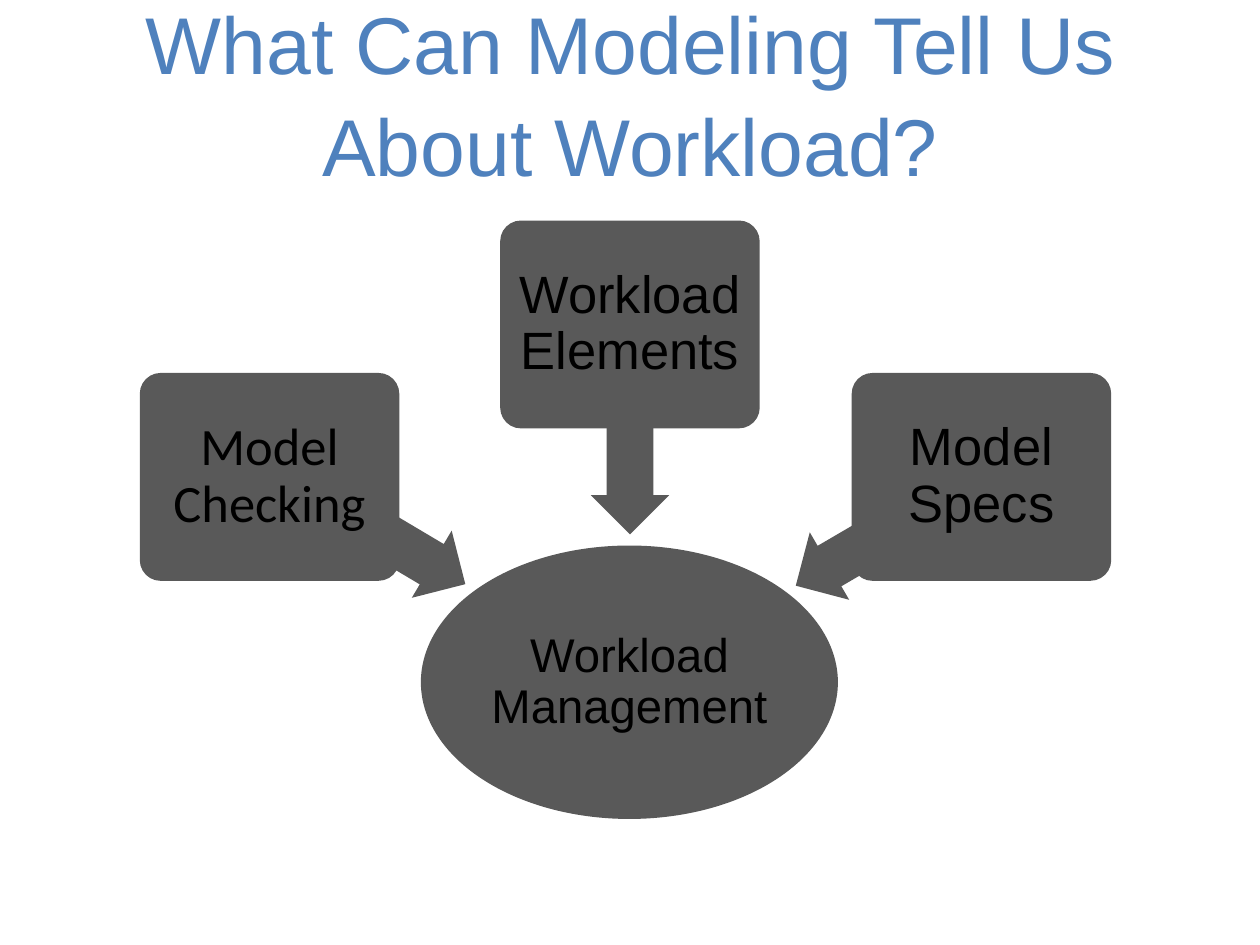
from pptx import Presentation
from pptx.dml.color import RGBColor
from pptx.enum.shapes import MSO_SHAPE
from pptx.enum.text import MSO_ANCHOR, PP_ALIGN
from pptx.util import Inches, Pt

TITLE = "What Can Modeling Tell Us About Workload?"
HUB = "Workload Management"
NODES = [
    ("Model Checking", "Calibri", 1.11, 2.96, (2.14, 3.9, 1.67), 210.7),
    ("Workload Elements", "Arial", 3.97, 1.75, (4.17, 3.1, 1.66), 270),
    ("Model Specs", "Arial", 6.76, 2.96, (6.2, 3.91, 1.7), 329.7),
]
BOX = (2.06, 1.65)
THICK = 0.62
GRAY, BLACK, BLUE = "595959", "000000", "4F81BD"


def color(code):
    return RGBColor.from_string(code)


def write(shape, text, face, size, tint, inset, anchor, space, after=0):
    frame = shape.text_frame
    frame.word_wrap = True
    frame.vertical_anchor = anchor
    frame.margin_left = frame.margin_right = Inches(inset[0])
    frame.margin_top = frame.margin_bottom = Inches(inset[1])
    frame.text = text
    para = frame.paragraphs[0]
    para.alignment = PP_ALIGN.CENTER
    para.line_spacing = space
    para.space_before = Pt(0)
    para.space_after = Pt(after)
    font = para.runs[0].font
    font.name, font.size = face, Pt(size)
    font.color.rgb = color(tint)


def draw(kind, *area):
    shape = slide.shapes.add_shape(kind, *map(Inches, area))
    shape.shadow.inherit = False
    shape.fill.solid()
    shape.fill.fore_color.rgb = color(GRAY)
    shape.line.fill.background()
    return shape


deck = Presentation()
deck.slide_width, deck.slide_height = Inches(10), Inches(7.5)
slide = deck.slides.add_slide(deck.slide_layouts[5])

title = slide.shapes.title
title.left, title.top, title.width, title.height = map(Inches, (0.6, 0.12, 8.8, 1.46))
write(title, TITLE, "Arial", 46, BLUE, (0.1, 0.05), MSO_ANCHOR.BOTTOM, 1.06)

hub = draw(MSO_SHAPE.OVAL, 3.34, 4.33, 3.31, 2.17)
write(hub, HUB, "Arial", 27, BLACK, (0.02, 0.02), MSO_ANCHOR.MIDDLE, 0.9, 9.4)

for text, face, left, top, place, turn in NODES:
    arrow = draw(MSO_SHAPE.LEFT_ARROW, *place, THICK)
    arrow.rotation = turn
    arrow.adjustments[0] = 0.6
    arrow.adjustments[1] = 0.5
    box = draw(MSO_SHAPE.ROUNDED_RECTANGLE, left, top, *BOX)
    box.adjustments[0] = 0.1
    write(box, text, face, 30, BLACK, (0.06, 0.06), MSO_ANCHOR.MIDDLE, 0.9, 10.5)

deck.save("out.pptx")
